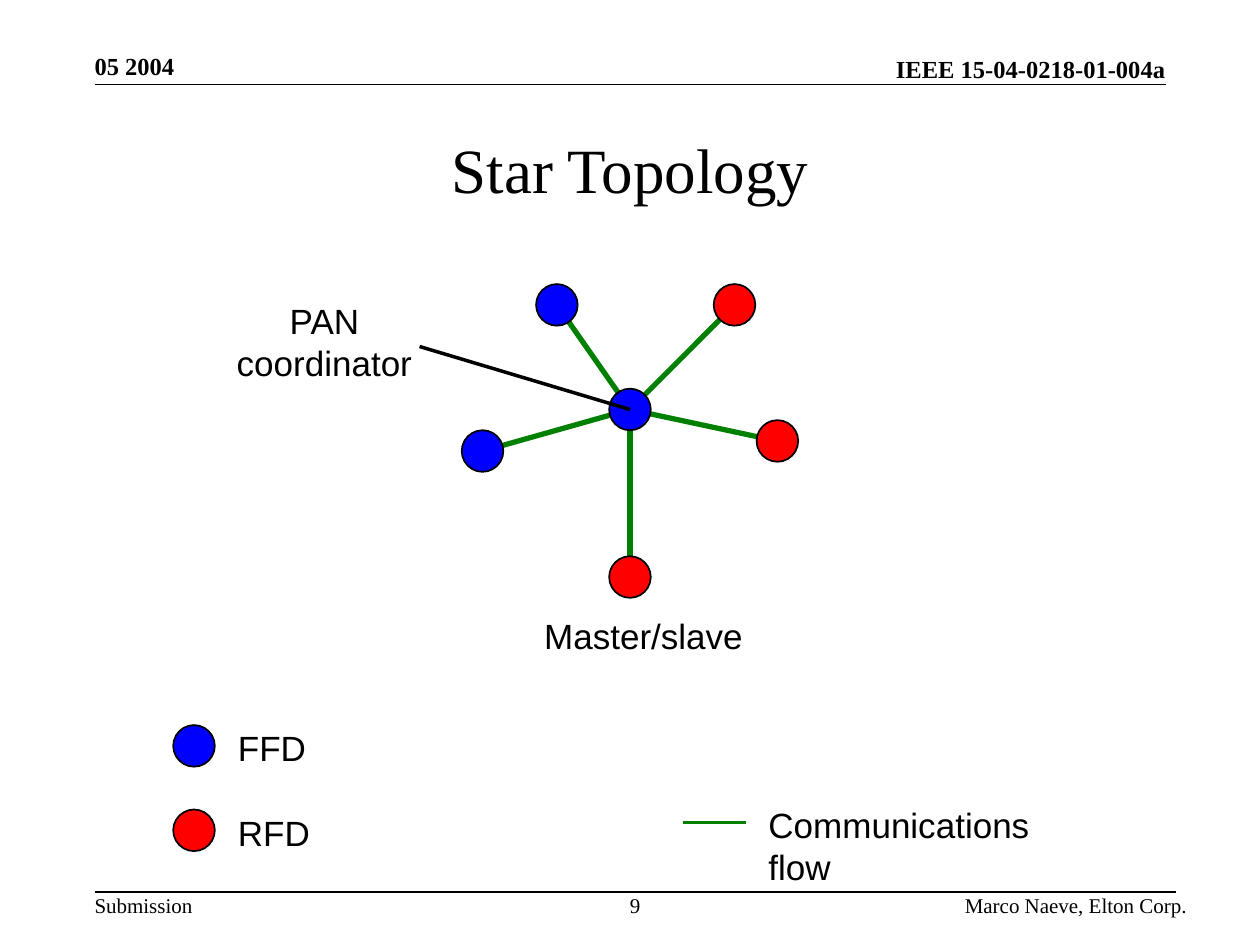
"""Build the star topology slide."""
import pptx
import pptx.util
import pptx.dml.color
import pptx.enum.shapes
import pptx.enum.text
from lxml import etree

Inches, Pt = pptx.util.Inches, pptx.util.Pt
RGBColor = pptx.dml.color.RGBColor
Align, Anchor = pptx.enum.text.PP_ALIGN, pptx.enum.text.MSO_ANCHOR
BLACK = RGBColor(0, 0, 0)
BLUE = RGBColor(0, 0, 255)
RED = RGBColor(255, 0, 0)
GREEN = RGBColor(0, 128, 0)
SIZE = 0.33
HUB = (5, 3.25)

HEAD = {"name": "Times New Roman", "size": Pt(14), "bold": True}
FOOT = {"name": "Times New Roman", "size": Pt(12)}
TITLE = {"name": "Times New Roman", "size": Pt(36)}
LABEL = {"name": "Arial", "size": Pt(20)}

FRAME = [
    ("IEEE 15-04-0218-01-004a", (4.08, 0.43, 5.17, 0.23), HEAD, Align.RIGHT, Anchor.BOTTOM),
    ("05 2004", (0.75, 0.41, 1.75, 0.23), HEAD, Align.LEFT, Anchor.BOTTOM),
    ("Submission", (0.75, 7.08, 0.78, 0.4), FOOT, Align.LEFT, Anchor.TOP),
    ("9", (4.75, 7.08, 0.58, 0.2), FOOT, Align.CENTER, Anchor.TOP),
    ("Marco Naeve, Elton Corp.", (6, 7.08, 3.42, 0.2), FOOT, Align.RIGHT, Anchor.TOP),
]
RULES = [((0.75, 0.67), (9.25, 0.67)), ((0.75, 7.08), (9.33, 7.08))]
NODES = [
    ((3.83, 3.58), BLUE),
    ((5, 4.58), RED),
    ((4.42, 2.42), BLUE),
    ((5.83, 2.42), RED),
    ((6.17, 3.5), RED),
]
KEYS = [("FFD", BLUE, 0.74), ("RFD", RED, 0.77)]
KEY_X, KEY_Y, KEY_GAP = 1.54, 5.92, 0.67


def add_line(shapes, start, end, color, width):
    ends = [Inches(v) for v in (*start, *end)]
    line = shapes.add_connector(pptx.enum.shapes.MSO_CONNECTOR.STRAIGHT, *ends)
    line.line.color.rgb = color
    line.line.width = Pt(width)
    etree.SubElement(line._element.spPr, pptx.oxml.ns.qn("a:effectLst"))


def add_node(shapes, spot, color):
    left, top = (Inches(v - SIZE / 2) for v in spot)
    node = shapes.add_shape(
        pptx.enum.shapes.MSO_SHAPE.OVAL, left, top, Inches(SIZE), Inches(SIZE))
    node.shadow.inherit = False
    node.fill.solid()
    node.fill.fore_color.rgb = color
    node.line.color.rgb = BLACK
    node.line.width = Pt(1)


def add_text(shapes, text, area, font, align=Align.LEFT, anchor=Anchor.TOP,
             pad=(0.1, 0.05), wrap=False):
    frame = shapes.add_textbox(*map(Inches, area)).text_frame
    side, edge = map(Inches, pad)
    form = {"word_wrap": wrap, "vertical_anchor": anchor, "margin_left": side,
            "margin_right": side, "margin_top": edge, "margin_bottom": edge}
    for key, value in form.items():
        setattr(frame, key, value)
    frame.text = text
    for para in frame.paragraphs:
        para.alignment = align
        for key, value in font.items():
            setattr(para.font, key, value)
        para.font.color.rgb = BLACK


def main():
    deck = pptx.Presentation()
    deck.slide_width, deck.slide_height = Inches(10), Inches(7.5)
    shapes = deck.slides.add_slide(deck.slide_layouts[6]).shapes

    for start, end in RULES:
        add_line(shapes, start, end, BLACK, 1)
    for text, area, font, align, anchor in FRAME:
        add_text(shapes, text, area, font, align, anchor, pad=(0, 0), wrap=True)
    add_text(shapes, "Star Topology", (0.75, 0.75, 8.5, 1.17), TITLE,
             Align.CENTER, Anchor.MIDDLE, wrap=True)

    for spot, color in NODES:
        add_line(shapes, HUB, spot, GREEN, 3)
        add_node(shapes, spot, color)
    add_node(shapes, HUB, BLUE)
    add_text(shapes, "Master/slave", (4.22, 4.83, 1.78, 0.44), LABEL)
    add_text(shapes, "PAN\ncoordinator", (1.78, 2.33, 1.59, 0.77), LABEL, Align.CENTER)
    add_line(shapes, (3.33, 2.75), HUB, BLACK, 2)

    legend = shapes.add_group_shape().shapes
    for row, (text, color, width) in enumerate(KEYS):
        mid = KEY_Y + row * KEY_GAP
        add_node(legend, (KEY_X, mid), color)
        add_text(legend, text, (KEY_X + 0.25, mid - 0.2, width, 0.44), LABEL)
    flow = shapes.add_group_shape().shapes
    add_line(flow, (5.92, 6.53), (5.42, 6.53), GREEN, 1.5)
    add_text(flow, "Communications flow", (6, 6.33, 2.84, 0.44), LABEL)

    deck.save("out.pptx")


if __name__ == "__main__":
    main()
